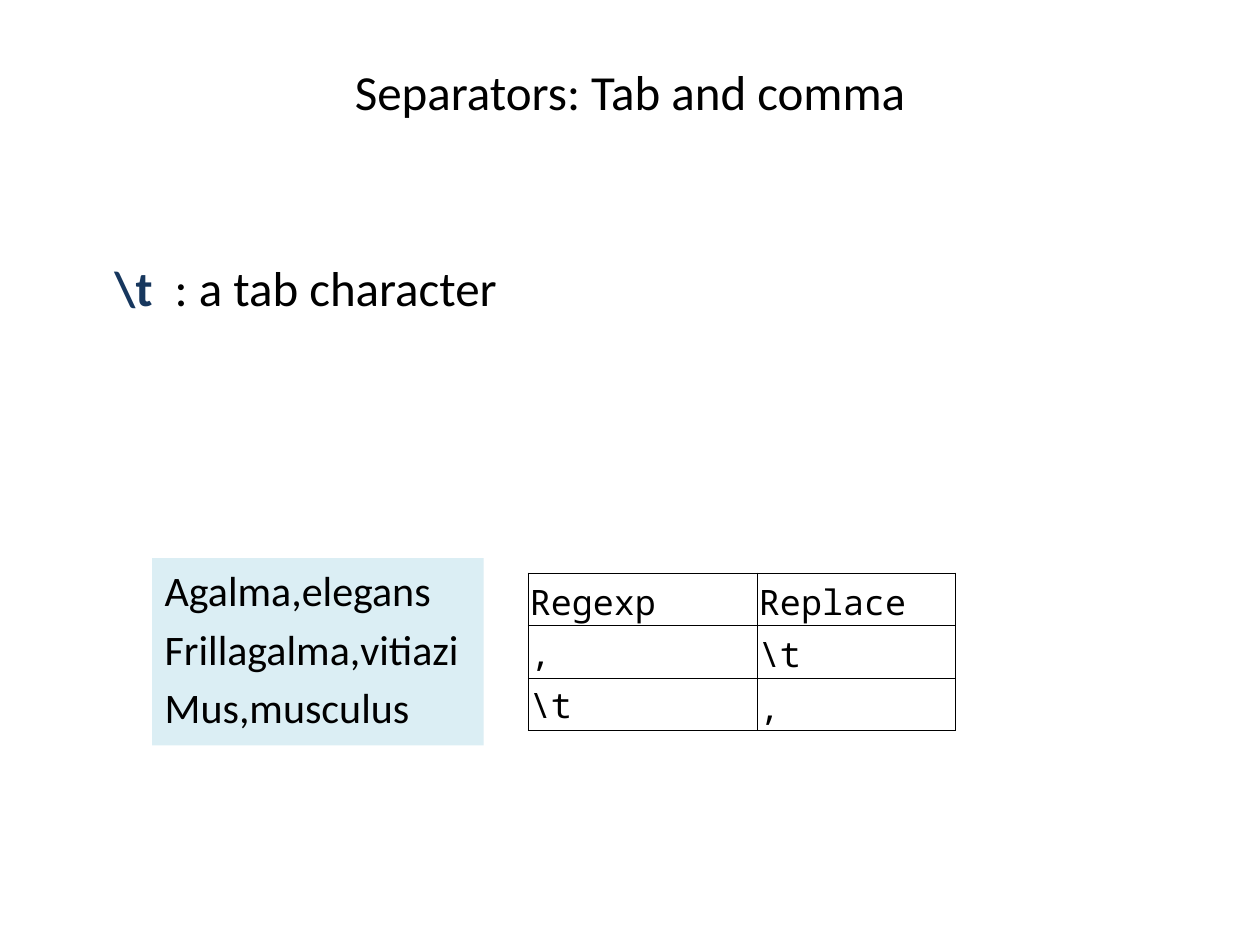
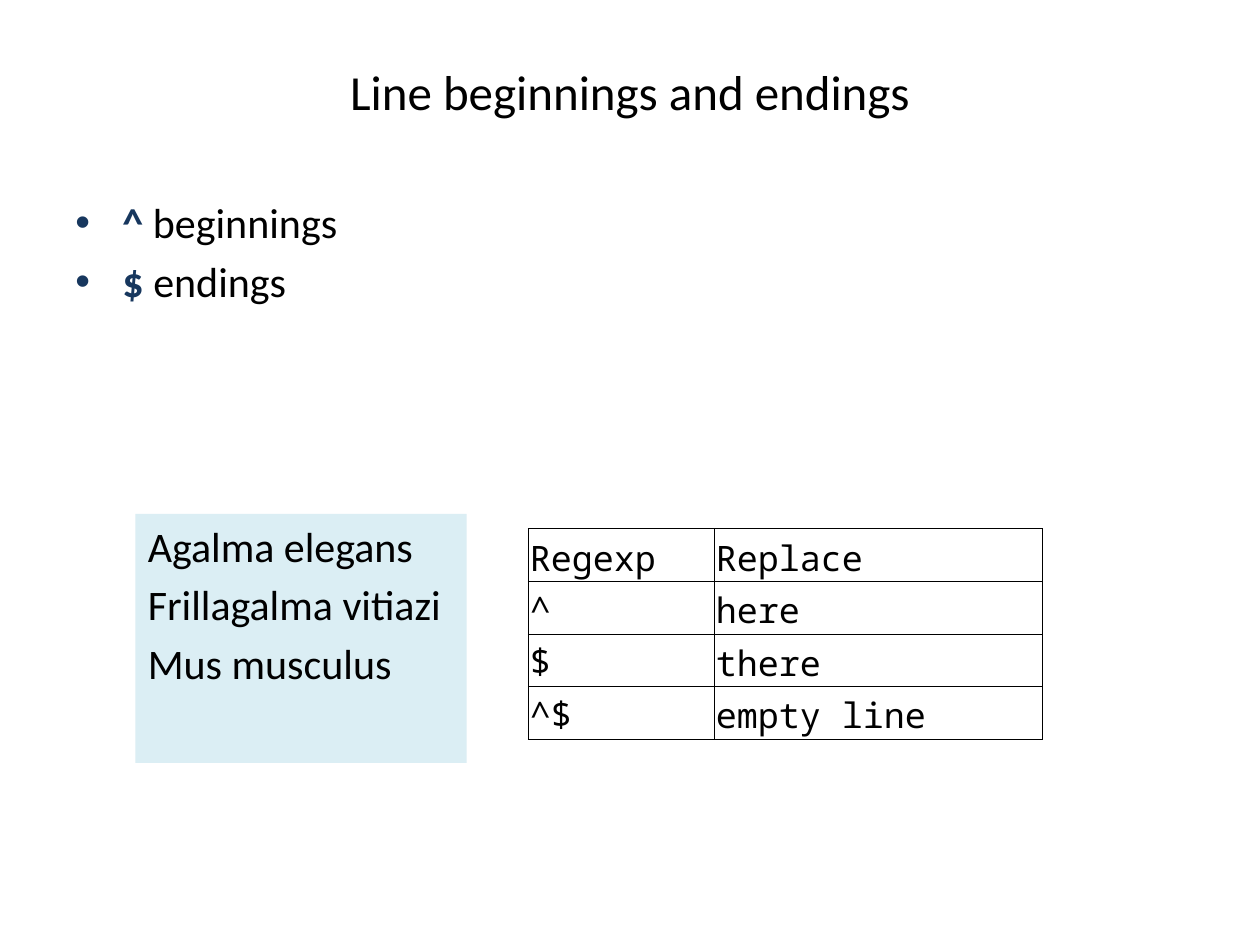
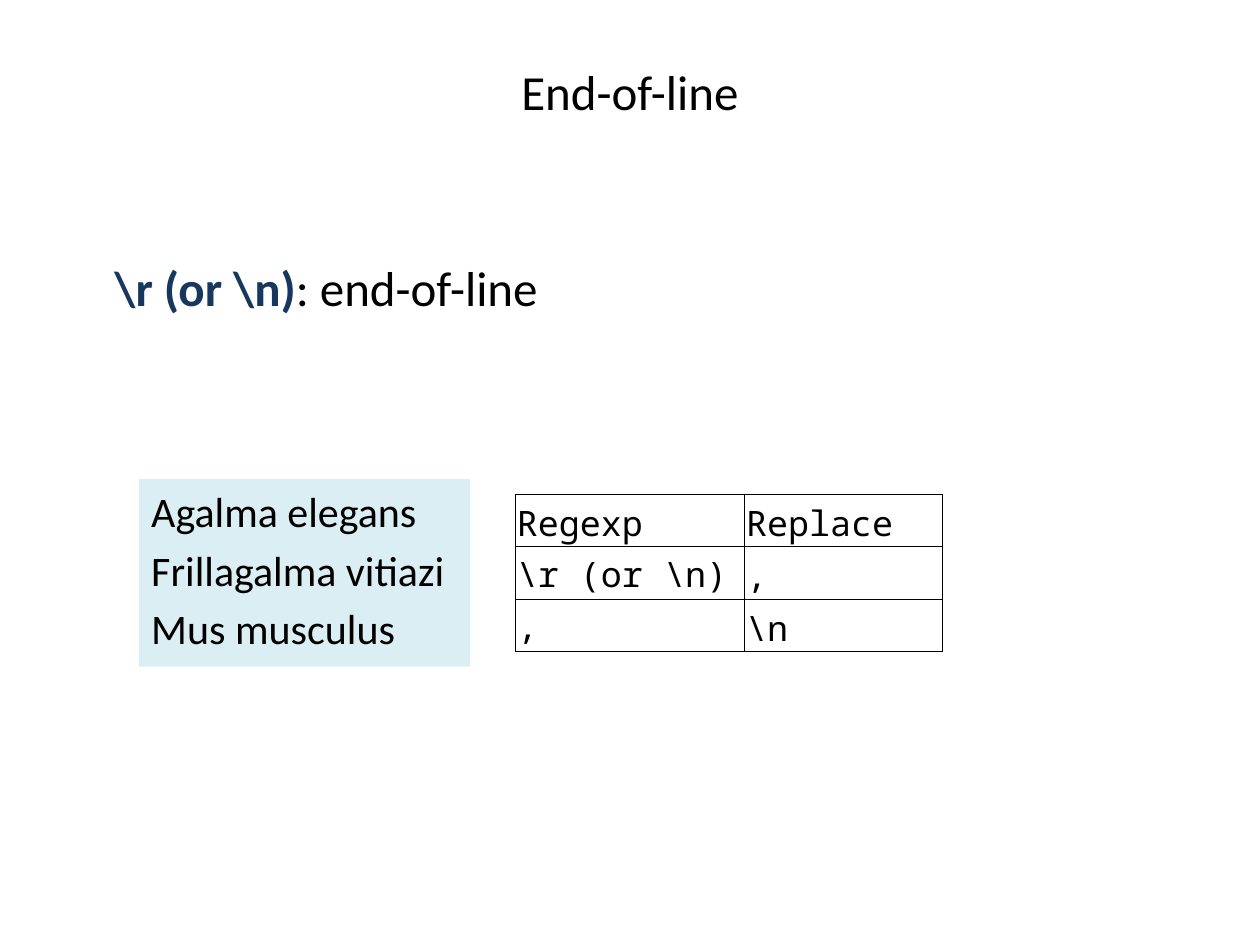
from lxml import etree
from pptx import Presentation
from pptx.dml.color import RGBColor
from pptx.enum.shapes import MSO_SHAPE
from pptx.enum.text import MSO_ANCHOR, PP_ALIGN
from pptx.oxml import parse_xml
from pptx.oxml.ns import nsdecls, qn
from pptx.util import Cm, Pt

RECTANGLE = MSO_SHAPE.RECTANGLE
TOP, MIDDLE, BOTTOM = MSO_ANCHOR.TOP, MSO_ANCHOR.MIDDLE, MSO_ANCHOR.BOTTOM
CENTER, LEFT = PP_ALIGN.CENTER, PP_ALIGN.LEFT

COLORS = {"text": "000000", "code": "17375E", "sample": "DBEEF4", "border": "000000"}
BODY_FONT, CODE_FONT = "Calibri", "Noto Sans Mono"
TITLE_SIZE, LIST_SIZE, TABLE_SIZE = 28, 24, 20
LIST_GAP = Pt(0.2 * LIST_SIZE)
ROW_HEIGHT = Cm(1.06)
TABLE_DROP = Cm(0.3)  # table top below the top of the sample box
BULLET_INDENT = Cm(0.95)

# Lengths in cm; "explained" pairs each expression with its meaning.
SLIDES = [
    {
        "title": "Separators: Tab and comma",
        "explained": [("\\t", "  : a tab character")],
        "bulleted": False,
        "explained_box": (2.06, 4.83, 21.44, 1.65),
        "sample": ["Agalma,elegans", "Frillagalma,vitiazi", "Mus,musculus"],
        "sample_box": (3.07, 11.25, 6.68, 3.78),
        "table_left": 10.65,
        "columns": (4.62, 3.99),
        "rules": [(",", "\\t"), ("\\t", ",")],
    },
    {
        "title": "Line beginnings and endings",
        "explained": [("^", " beginnings"), ("$", " endings")],
        "bulleted": True,
        "explained_box": (1.27, 3.84, 22.86, 2.59),
        "sample": ["Agalma elegans", "Frillagalma vitiazi", "Mus musculus"],
        "sample_box": (2.73, 10.36, 6.68, 5.02),
        "table_left": 10.65,
        "columns": (3.75, 6.62),
        "rules": [("^", "here"), ("$", "there"), ("^$", "empty line")],
    },
    {
        "title": "End-of-line",
        "explained": [("\\r (or \\n)", ": end-of-line")],
        "bulleted": False,
        "explained_box": (2.06, 4.83, 14.35, 1.65),
        "sample": ["Agalma elegans", "Frillagalma vitiazi", "Mus musculus"],
        "sample_box": (2.8, 9.66, 6.68, 3.78),
        "table_left": 10.39,
        "columns": (4.62, 3.99),
        "rules": [("\\r (or \\n)", ","), (",", "\\n")],
    },
]


def add_run(paragraph, text, size, color="text", bold=False, font=BODY_FONT):
    """Append one formatted run to a paragraph."""
    run = paragraph.add_run()
    run.text = text
    run.font.name = font
    run.font.size = Pt(size)
    run.font.bold = bold
    run.font.color.rgb = RGBColor.from_string(COLORS[color])


def add_borders(cell):
    """Draw a thin line on all four sides of a table cell."""
    properties = cell._tc.get_or_add_tcPr()
    for side in ("lnL", "lnR", "lnT", "lnB"):
        properties.append(parse_xml(
            f'<a:{side} {nsdecls("a")} w="{Pt(0.5)}"><a:solidFill>'
            f'<a:srgbClr val="{COLORS["border"]}"/></a:solidFill></a:{side}>'))


deck = Presentation()
deck.slide_width, deck.slide_height = Cm(25.4), Cm(19.05)
blank = deck.slide_layouts[6]

for content in SLIDES:
    slide = deck.slides.add_slide(blank)

    title = slide.shapes.add_textbox(Cm(1.27), Cm(0.76), Cm(22.86), Cm(2.16)).text_frame
    title.word_wrap = True
    title.vertical_anchor = MIDDLE
    title.paragraphs[0].alignment = CENTER
    add_run(title.paragraphs[0], content["title"], TITLE_SIZE)

    # Expressions and their meaning
    box = [Cm(length) for length in content["explained_box"]]
    explanation = slide.shapes.add_textbox(*box).text_frame
    explanation.word_wrap = True
    size = LIST_SIZE if content["bulleted"] else TITLE_SIZE
    for index, (expression, meaning) in enumerate(content["explained"]):
        line = explanation.add_paragraph() if index else explanation.paragraphs[0]
        if content["bulleted"]:
            line.space_before = LIST_GAP
            properties = line._p.get_or_add_pPr()
            properties.set("marL", str(BULLET_INDENT))
            properties.set("indent", str(-BULLET_INDENT))
            etree.SubElement(properties, qn("a:buFont"), typeface="Arial")
            etree.SubElement(properties, qn("a:buChar"), char="•")
        else:
            line.line_spacing = 1.2
        add_run(line, expression, size, "code", bold=True)
        add_run(line, meaning, size)

    # Sample text to search in
    left, top, width, height = [Cm(length) for length in content["sample_box"]]
    sample = slide.shapes.add_shape(RECTANGLE, left, top, width, height)
    sample.shadow.inherit = False
    sample.fill.solid()
    sample.fill.fore_color.rgb = RGBColor.from_string(COLORS["sample"])
    sample.line.fill.background()
    species = sample.text_frame
    species.word_wrap = True
    species.vertical_anchor = TOP
    for index, name in enumerate(content["sample"]):
        line = species.add_paragraph() if index else species.paragraphs[0]
        line.alignment = LEFT
        line.space_before = LIST_GAP
        add_run(line, name, LIST_SIZE)

    # Search and replace rules
    rows = [("Regexp", "Replace")] + content["rules"]
    widths = [Cm(length) for length in content["columns"]]
    rules = slide.shapes.add_table(
        len(rows), len(widths), Cm(content["table_left"]), top + TABLE_DROP,
        sum(widths), ROW_HEIGHT * len(rows)).table
    rules.first_row = rules.horz_banding = False
    for column, width in zip(rules.columns, widths):
        column.width = width
    for row_index, row in enumerate(rows):
        rules.rows[row_index].height = ROW_HEIGHT
        for column_index, text in enumerate(row):
            cell = rules.cell(row_index, column_index)
            cell.margin_left = cell.margin_right = cell.margin_top = Cm(0.03)
            cell.margin_bottom = 0
            cell.vertical_anchor = MIDDLE if row_index and column_index == 0 else BOTTOM
            add_borders(cell)
            cell.fill.background()
            add_run(cell.text_frame.paragraphs[0], text, TABLE_SIZE, font=CODE_FONT)

deck.save("out.pptx")
